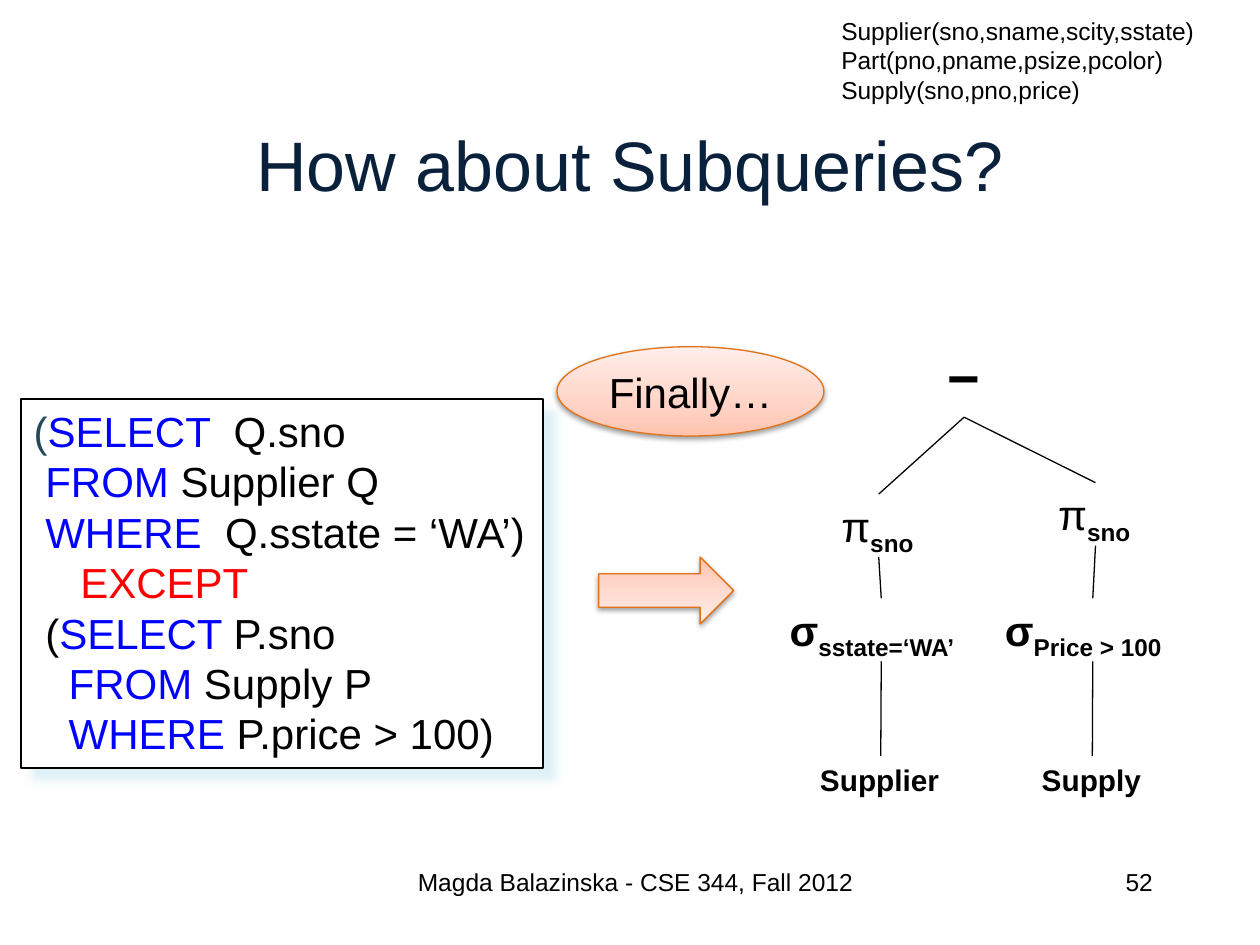
import copy

import pptx
import pptx.dml.color
import pptx.enum.shapes
import pptx.enum.text
import pptx.oxml
import pptx.oxml.ns
import pptx.util

Cm = pptx.util.Cm
Pt = pptx.util.Pt
SHAPE = pptx.enum.shapes.MSO_SHAPE
ALIGN = pptx.enum.text.PP_ALIGN
ANCHOR = pptx.enum.text.MSO_ANCHOR
FIT = pptx.enum.text.MSO_AUTO_SIZE

BLACK, BLUE, RED, TEAL, NAVY = "000000", "0000FF", "FF0000", "244A58", "09213B"
PEACH = [(0, "FFC3AF"), (0.35, "FFD4C7"), (1, "FFEEEA")]

QUERY = [
    [("(", TEAL), ("SELECT  ", BLUE), ("Q.sno", BLACK)],
    [(" ", TEAL), ("FROM", BLUE), (" Supplier Q", BLACK)],
    [(" ", TEAL), ("WHERE  ", BLUE), ("Q.sstate = ‘WA’)", BLACK)],
    [("    ", BLACK), ("EXCEPT", RED)],
    [(" (", BLACK), ("SELECT ", BLUE), ("P.sno", BLACK)],
    [("   ", BLACK), ("FROM", BLUE), (" Supply P", BLACK)],
    [("   ", BLACK), ("WHERE ", BLUE), ("P.price > 100)", BLACK)],
]

TREE = {
    "minus": ((3.18, 0, 1.17, 1.63), "−", "", 32, True),
    "left project": ((1.04, 3.18, 2.01, 1.27), "π", "sno", 24, False),
    "right project": ((5.41, 2.95, 2.01, 1.27), "π", "sno", 24, False),
    "left select": ((0, 5.28, 4.19, 1.27), "σ", "sstate=‘WA’", 24, True),
    "right select": ((4.34, 5.28, 4.04, 1.27), "σ", "Price > 100", 24, True),
    "supplier": ((0.61, 8.46, 2.95, 0.99), "Supplier", "", 17, True),
    "supply": ((5.08, 8.46, 2.54, 0.99), "Supply", "", 17, True),
}

EDGES = [
    ("left project", "minus"),
    ("right project", "minus"),
    ("left select", "left project"),
    ("right select", "right project"),
    ("supplier", "left select"),
    ("supply", "right select"),
]


def color(value):
    """Turn a hex string into a colour."""
    return pptx.dml.color.RGBColor.from_string(value)


def apply(target, values):
    """Set each named attribute on the target."""
    for name, value in values.items():
        setattr(target, name, value)


def add_span(para, text, size, shade=BLACK, bold=False, subscript=False):
    """Append one formatted run to a paragraph."""
    span = para.add_run()
    span.text = text
    apply(span.font, {"name": "Arial", "size": Pt(size), "bold": bold})
    span.font.color.rgb = color(shade)
    if subscript:
        span.font._element.set("baseline", "-25000")


def add_lines(box, lines, size, align=ALIGN.LEFT):
    """Write lines, each a list of text and colour pairs."""
    for index, line in enumerate(lines):
        frame = box.text_frame
        para = frame.add_paragraph() if index else frame.paragraphs[0]
        para.alignment = align
        for text, shade in line:
            add_span(para, text, size, shade)


def add_box(page, area, **frame_format):
    """Add a text box over the given area."""
    box = page.shapes.add_textbox(*map(Cm, area))
    apply(box.text_frame, {"word_wrap": True, **frame_format})
    return box


def add_shadow(shape, shade, alpha, blur, distance, angle):
    """Give a shape an outer shadow."""
    shape.shadow.inherit = False
    effects = shape._element.spPr.find(pptx.oxml.ns.qn("a:effectLst"))
    effects.append(pptx.oxml.parse_xml(
        f'<a:outerShdw {pptx.oxml.ns.nsdecls("a")} blurRad="{Pt(blur)}" '
        f'dist="{Pt(distance)}" dir="{angle * 60000}" algn="tl" rotWithShape="0">'
        f'<a:srgbClr val="{shade}"><a:alpha val="{alpha * 1000}"/></a:srgbClr>'
        "</a:outerShdw>"))


def add_panel(page, kind, area, outline, width):
    """Add an outlined shape ready for a fill and text."""
    shape = page.shapes.add_shape(kind, *map(Cm, area))
    shape.line.color.rgb = color(outline)
    shape.line.width = Pt(width)
    apply(shape.text_frame, {"word_wrap": False})
    return shape


def add_peach_shape(page, kind, area, angle):
    """Add a shape with the peach gradient and a soft shadow."""
    shape = add_panel(page, kind, area, "E27218", 0.75)
    shape.fill.gradient()
    shape.fill.gradient_angle = angle
    stops = shape._element.spPr.find(".//" + pptx.oxml.ns.qn("a:gsLst"))
    stops.insert(1, copy.deepcopy(stops[0]))
    for stop, (position, shade) in zip(shape.fill.gradient_stops, PEACH):
        stop.position = position
        stop.color.rgb = color(shade)
    add_shadow(shape, BLACK, 38, 3.1, 1.6, 90)
    return shape


def add_schema(page, area):
    """List the relations at the top right."""
    box = add_box(page, area, word_wrap=False, auto_size=FIT.SHAPE_TO_FIT_TEXT)
    relations = ["Supplier(sno,sname,scity,sstate)",
                 "Part(pno,pname,psize,pcolor)",
                 "Supply(sno,pno,price)"]
    add_lines(box, [[(relation, BLACK)] for relation in relations], 14)


def add_title(page, area):
    """Place the slide title."""
    box = add_box(page, area, vertical_anchor=ANCHOR.MIDDLE)
    add_lines(box, [[("How about Subqueries?", NAVY)]], 40, ALIGN.CENTER)


def add_query(page, area):
    """Place the SQL query in its framed panel."""
    panel = add_panel(page, SHAPE.RECTANGLE, area, BLACK, 1)
    panel.fill.solid()
    panel.fill.fore_color.rgb = color("FFFFFF")
    add_shadow(panel, "D5EDF4", 75, 5, 8.5, 45)
    panel.text_frame.vertical_anchor = ANCHOR.TOP
    add_lines(panel, QUERY, 24)


def add_step(page, area):
    """Place the callout and the arrow from query to tree."""
    left, top, width, height = area
    callout = add_peach_shape(page, SHAPE.FLOWCHART_CONNECTOR, (left, top, width, 1.8), 90)
    callout.text_frame.vertical_anchor = ANCHOR.MIDDLE
    add_lines(callout, [[("Finally…", BLACK)]], 24, ALIGN.CENTER)
    arrow_area = (left + 0.84, top + height - 1.35, 2.72, 1.35)
    add_peach_shape(page, SHAPE.RIGHT_ARROW, arrow_area, 270)


def add_tree(page, left, top):
    """Place the algebra tree and join its nodes."""
    nodes = {}
    for name, ((x, y, width, height), symbol, subscript, size, bold) in TREE.items():
        node = add_box(page, (left + x, top + y, width, height),
                       word_wrap=False, auto_size=FIT.SHAPE_TO_FIT_TEXT)
        para = node.text_frame.paragraphs[0]
        add_span(para, symbol, size, bold=bold)
        if subscript:
            add_span(para, subscript, size, bold=True, subscript=True)
        nodes[name] = node
    for lower, upper in EDGES:
        edge = page.shapes.add_connector(pptx.enum.shapes.MSO_CONNECTOR.STRAIGHT, 0, 0, 0, 0)
        edge.begin_connect(nodes[lower], 0)
        edge.end_connect(nodes[upper], 2)
        edge.line.color.rgb = color(BLACK)
        edge.line.width = Pt(0.75)
        edge._element.spPr.append(pptx.oxml.parse_xml(
            f'<a:effectLst {pptx.oxml.ns.nsdecls("a")}/>'))


def add_footer(page, top):
    """Place the course line and the page number."""
    course = add_box(page, (8.05, top, 9.53, 1.27))
    add_lines(course, [[("Magda Balazinska - CSE 344, Fall 2012", BLACK)]], 14, ALIGN.CENTER)
    number = add_box(page, (18.21, top, 5.28, 1.27))
    add_lines(number, [[("52", BLACK)]], 14, ALIGN.RIGHT)


def main():
    """Build and save the deck."""
    deck = pptx.Presentation()
    apply(deck, {"slide_width": Cm(25.4), "slide_height": Cm(19.05)})
    page = deck.slides.add_slide(deck.slide_layouts[6])
    add_schema(page, (16.71, 0.2, 7.67, 2.06))
    add_title(page, (1.9, 1.7, 21.59, 3.18))
    add_query(page, (0.43, 8.05, 10.52, 7.44))
    add_step(page, (11.23, 6.99, 5.38, 5.59))
    add_tree(page, 15.67, 6.78)
    add_footer(page, 17.35)
    deck.save("out.pptx")


if __name__ == "__main__":
    main()
